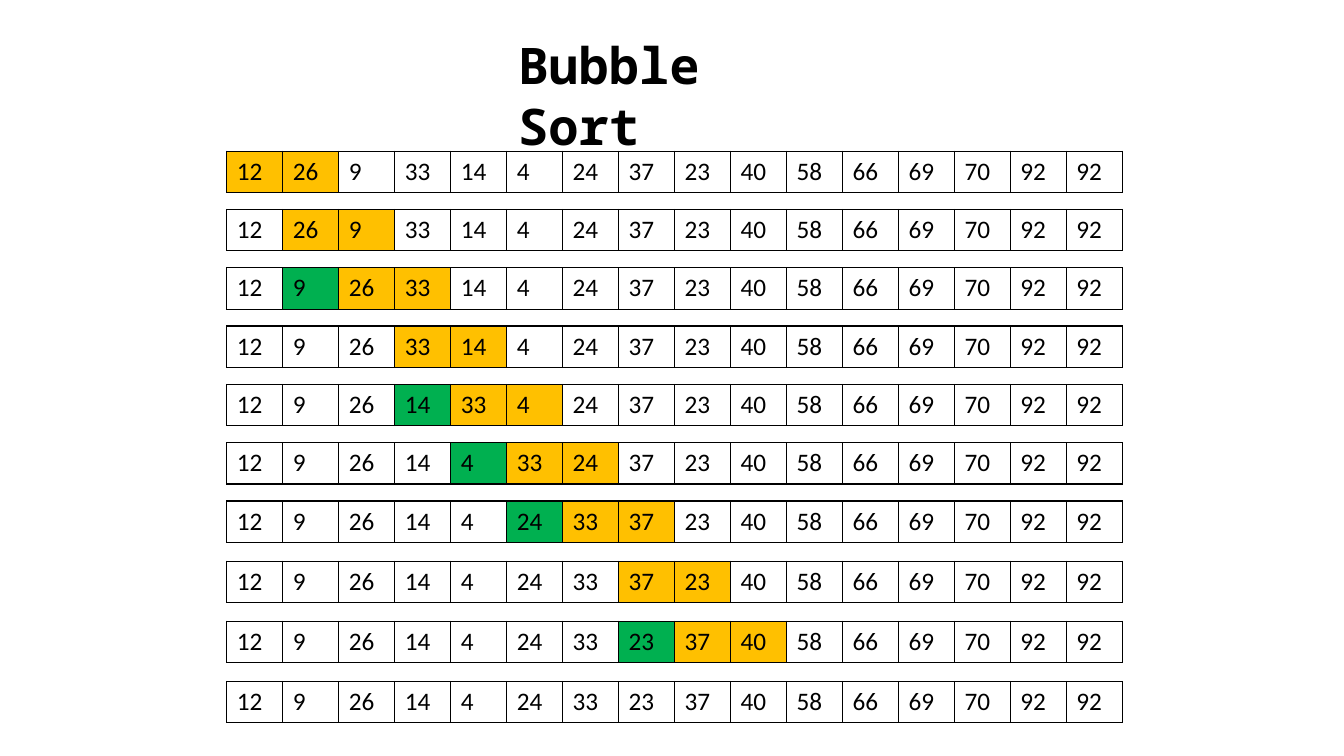
"""Build a slide that traces one bubble sort pass as a column of one-row tables."""
from dataclasses import dataclass

import lxml.etree
import pptx
import pptx.dml.color
import pptx.enum.text
import pptx.oxml.ns
import pptx.util

COLORS = {"text": "000000", "border": "000000", "plain": "FFFFFF",
          "compared": "FFC000", "swapped": "00B050"}
WIDTH, HEIGHT = pptx.util.Inches(13.33), pptx.util.Inches(7.5)
COL, ROW = WIDTH / 24, HEIGHT / 75
LEFT_COL, TABLE_ROWS = 4.05, 4.1
START = [12, 26, 9, 33, 14, 4, 24, 37, 23, 40, 58, 66, 69, 70, 92, 92]
UPPER_TOP, MIDDLE_TOP, LOWER_TOP = 15, 49.7, 67.6
UPPER_STEPS, LOWER_STEPS = 6, 3
TITLE_FONT = {"name": "Noto Sans Mono", "size": pptx.util.Pt(36), "bold": True}
CELL_FONT = {"name": "Calibri", "size": pptx.util.Pt(18), "bold": False}


@dataclass
class Step:
    top: float
    values: list[int]
    states: list[str]


def rgb(key: str) -> pptx.dml.color.RGBColor:
    return pptx.dml.color.RGBColor.from_string(COLORS[key])


def format_font(font, formats: dict) -> None:
    for name, value in formats.items():
        setattr(font, name, value)
    font.color.rgb = rgb("text")


def step_top(i: int) -> float:
    if i <= UPPER_STEPS:
        return UPPER_TOP + i * (MIDDLE_TOP - UPPER_TOP) / UPPER_STEPS
    return MIDDLE_TOP + (i - UPPER_STEPS) * (LOWER_TOP - MIDDLE_TOP) / LOWER_STEPS


def trace_pass(start: list[int]) -> list[Step]:
    values, steps, swapped = list(start), [], False
    last = UPPER_STEPS + LOWER_STEPS
    for i in range(last + 1):
        states = ["plain"] * len(values)
        if swapped:
            states[i - 1] = "swapped"
        if i < last:
            states[i] = states[i + 1] = "compared"
        steps.append(Step(step_top(i), list(values), states))
        swapped = values[i] > values[i + 1]
        if swapped:
            values[i], values[i + 1] = values[i + 1], values[i]
    return steps


def add_borders(cell) -> None:
    tc_pr = cell._tc.get_or_add_tcPr()
    for side in ("lnL", "lnR", "lnT", "lnB"):
        ln = lxml.etree.SubElement(tc_pr, pptx.oxml.ns.qn(f"a:{side}"),
                                   w=str(pptx.util.Pt(1)))
        fill = lxml.etree.SubElement(ln, pptx.oxml.ns.qn("a:solidFill"))
        lxml.etree.SubElement(fill, pptx.oxml.ns.qn("a:srgbClr"), val=COLORS["border"])


def add_title(s, text: str) -> None:
    sp = s.shapes.title
    box = {"left": 9.07 * COL, "top": 2.9 * ROW, "width": 5.85 * COL, "height": 7.1 * ROW}
    for name, value in box.items():
        setattr(sp, name, int(value))
    tf = sp.text_frame
    frame = {"word_wrap": True, "vertical_anchor": pptx.enum.text.MSO_ANCHOR.TOP,
             "auto_size": pptx.enum.text.MSO_AUTO_SIZE.NONE}
    for name, value in frame.items():
        setattr(tf, name, value)
    p = tf.paragraphs[0]
    p.alignment = pptx.enum.text.PP_ALIGN.LEFT
    r = p.add_run()
    r.text = text
    format_font(r.font, TITLE_FONT)


def add_step(s, step: Step) -> None:
    count = len(step.values)
    table = s.shapes.add_table(1, count, int(LEFT_COL * COL), int(step.top * ROW),
                               int(count * COL), int(TABLE_ROWS * ROW)).table
    table.first_row = table.horz_banding = False
    for cell, value, state in zip(table.iter_cells(), step.values, step.states):
        add_borders(cell)
        cell.fill.solid()
        cell.fill.fore_color.rgb = rgb(state)
        r = cell.text_frame.paragraphs[0].add_run()
        r.text = str(value)
        format_font(r.font, CELL_FONT)


def main() -> None:
    prs = pptx.Presentation()
    prs.slide_width, prs.slide_height = WIDTH, HEIGHT
    s = prs.slides.add_slide(prs.slide_layouts[5])
    add_title(s, "Bubble Sort")
    for step in trace_pass(START):
        add_step(s, step)
    prs.save("out.pptx")


if __name__ == "__main__":
    main()
